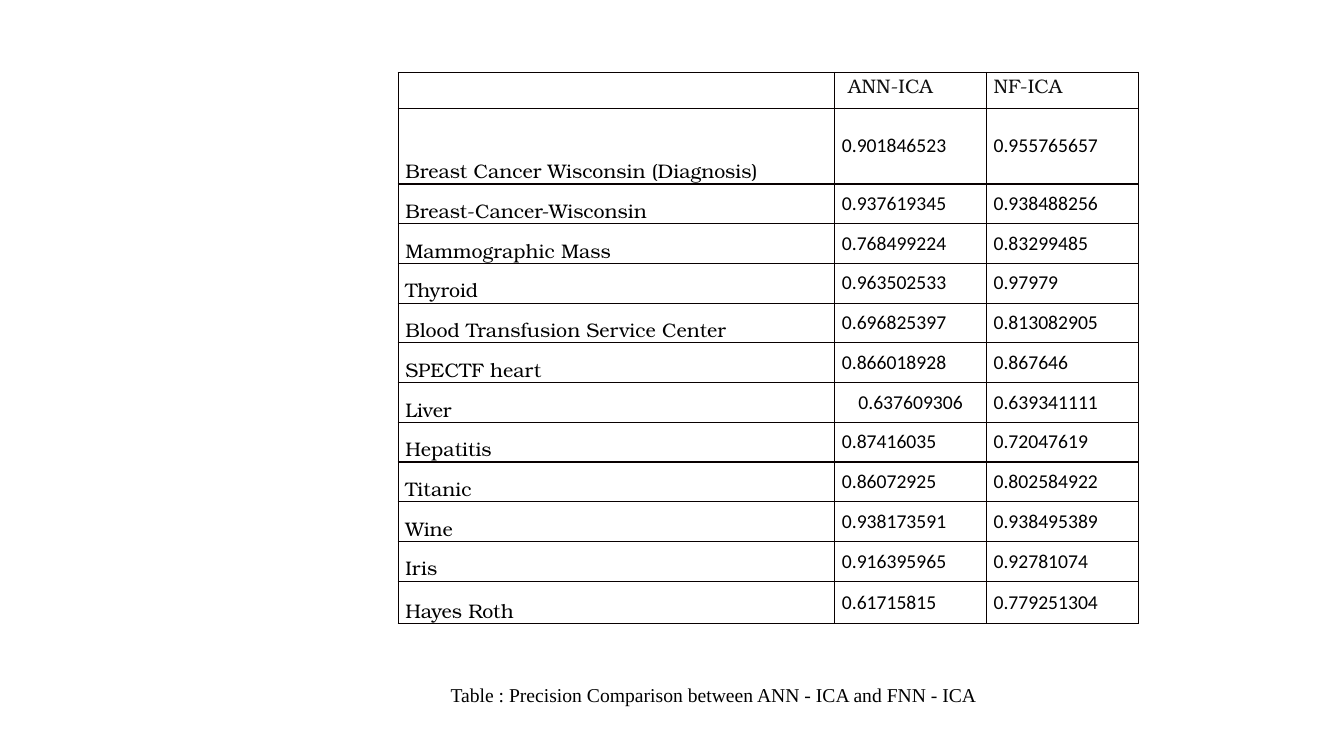
from lxml import etree
from pptx import Presentation
from pptx.dml.color import RGBColor
from pptx.enum.text import MSO_ANCHOR as Anchor, PP_ALIGN as Align
from pptx.oxml.ns import qn
from pptx.util import Emu, Inches, Pt

COLOURS = {"text": "000000", "heading": "111111", "border": "080000"}
NAME_FONT, VALUE_FONT, CAPTION_FONT = "TeX Gyre Bonum", "Calibri", "Times New Roman"
TEXT_SIZE = Pt(14)

HEADINGS = ("", " ANN-ICA", "NF-ICA")
PRECISION = [
    ("Breast Cancer Wisconsin (Diagnosis)", "0.901846523", "0.955765657"),
    ("Breast-Cancer-Wisconsin", "0.937619345", "0.938488256"),
    ("Mammographic Mass", "0.768499224", "0.83299485"),
    ("Thyroid", "0.963502533", "0.97979"),
    ("Blood Transfusion Service Center", "0.696825397", "0.813082905"),
    ("SPECTF heart", "0.866018928", "0.867646"),
    ("Liver", "0.637609306", "0.639341111"),
    ("Hepatitis", "0.87416035", "0.72047619"),
    ("Titanic", "0.86072925", "0.802584922"),
    ("Wine", "0.938173591", "0.938495389"),
    ("Iris", "0.916395965", "0.92781074"),
    ("Hayes Roth", "0.61715815", "0.779251304"),
]
CENTRED_VALUE = (7, 1)

# Shares of the table's width and height
COLUMN_SHARES = (0.59, 0.205, 0.205)
HEADING_SHARE, FIRST_SHARE, LAST_SHARE = 0.065, 0.137, 0.077
MIDDLE_COUNT = len(PRECISION) - 2
MIDDLE_SHARE = (1 - HEADING_SHARE - FIRST_SHARE - LAST_SHARE) / MIDDLE_COUNT
ROW_SHARES = (HEADING_SHARE, FIRST_SHARE, *[MIDDLE_SHARE] * MIDDLE_COUNT, LAST_SHARE)


def add_run(paragraph, text, font_name, colour):
    run = paragraph.add_run()
    run.text = text
    run.font.name = font_name
    run.font.size = TEXT_SIZE
    run.font.color.rgb = RGBColor.from_string(COLOURS[colour])


def outline_cell(cell):
    """Draw a thin line on all four sides; call before the cell is filled."""
    properties = cell._tc.get_or_add_tcPr()
    for side in ("a:lnL", "a:lnR", "a:lnT", "a:lnB"):
        line = etree.SubElement(properties, qn(side), w=str(Pt(1)))
        fill = etree.SubElement(line, qn("a:solidFill"))
        etree.SubElement(fill, qn("a:srgbClr"), val=COLOURS["border"])


def format_cell(cell, text, row, column):
    outline_cell(cell)
    cell.fill.background()
    cell.margin_left = cell.margin_right = Inches(0.07)
    cell.margin_top = cell.margin_bottom = 0
    paragraph = cell.text_frame.paragraphs[0]
    paragraph.font.size = TEXT_SIZE
    if row == 0:
        cell.vertical_anchor = Anchor.TOP
    else:
        cell.vertical_anchor = Anchor.MIDDLE if column else Anchor.BOTTOM
    if (row, column) == CENTRED_VALUE:
        paragraph.alignment = Align.CENTER
    if text:
        font_name = VALUE_FONT if row and column else NAME_FONT
        add_run(paragraph, text, font_name, "text" if row else "heading")


def add_precision_table(slide, left, top, width, height):
    rows = [HEADINGS, *PRECISION]
    table = slide.shapes.add_table(len(rows), len(HEADINGS), left, top, width, height).table
    table.first_row = table.horz_banding = False
    for column, share in zip(table.columns, COLUMN_SHARES):
        column.width = Emu(round(width * share))
    for row, share in zip(table.rows, ROW_SHARES):
        row.height = Emu(round(height * share))
    for row, texts in enumerate(rows):
        for column, text in enumerate(texts):
            format_cell(table.cell(row, column), text, row, column)


def add_caption(slide, left, top, width, height):
    frame = slide.shapes.add_textbox(left, top, width, height).text_frame
    frame.word_wrap = True
    paragraph = frame.paragraphs[0]
    paragraph._p.get_or_add_pPr().set("indent", str(Inches(0.29)))
    add_run(paragraph, "Table : Precision Comparison between ANN - ICA and FNN - ICA",
            CAPTION_FONT, "text")


def main():
    presentation = Presentation()
    presentation.slide_width, presentation.slide_height = Inches(13.33), Inches(7.5)
    slide = presentation.slides.add_slide(presentation.slide_layouts[6])
    add_precision_table(slide, Inches(3.95), Inches(0.72), Inches(7.34), Inches(5.47))
    add_caption(slide, Inches(4.08), Inches(6.73), Inches(6.6), Inches(0.34))
    presentation.save("out.pptx")


if __name__ == "__main__":
    main()
